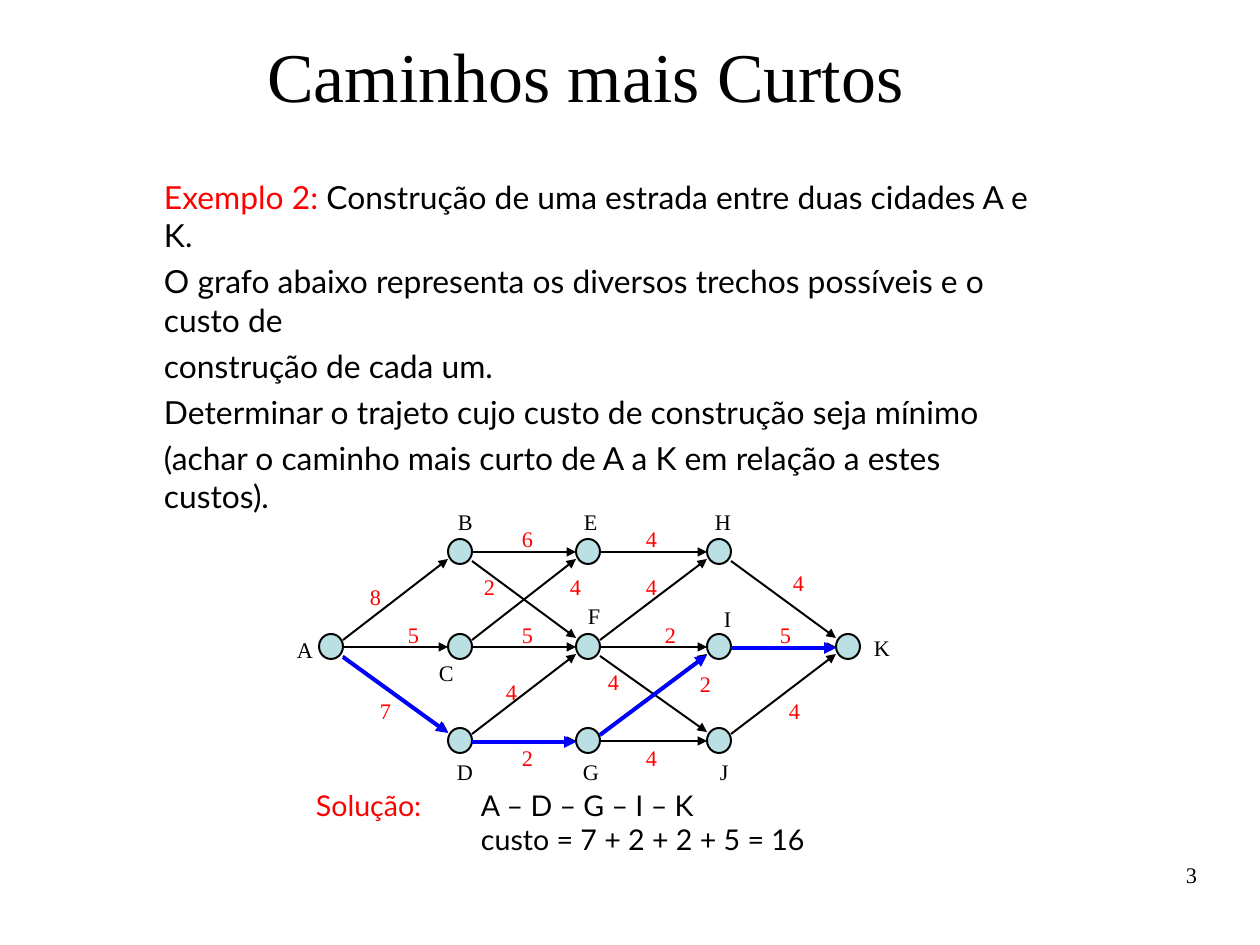
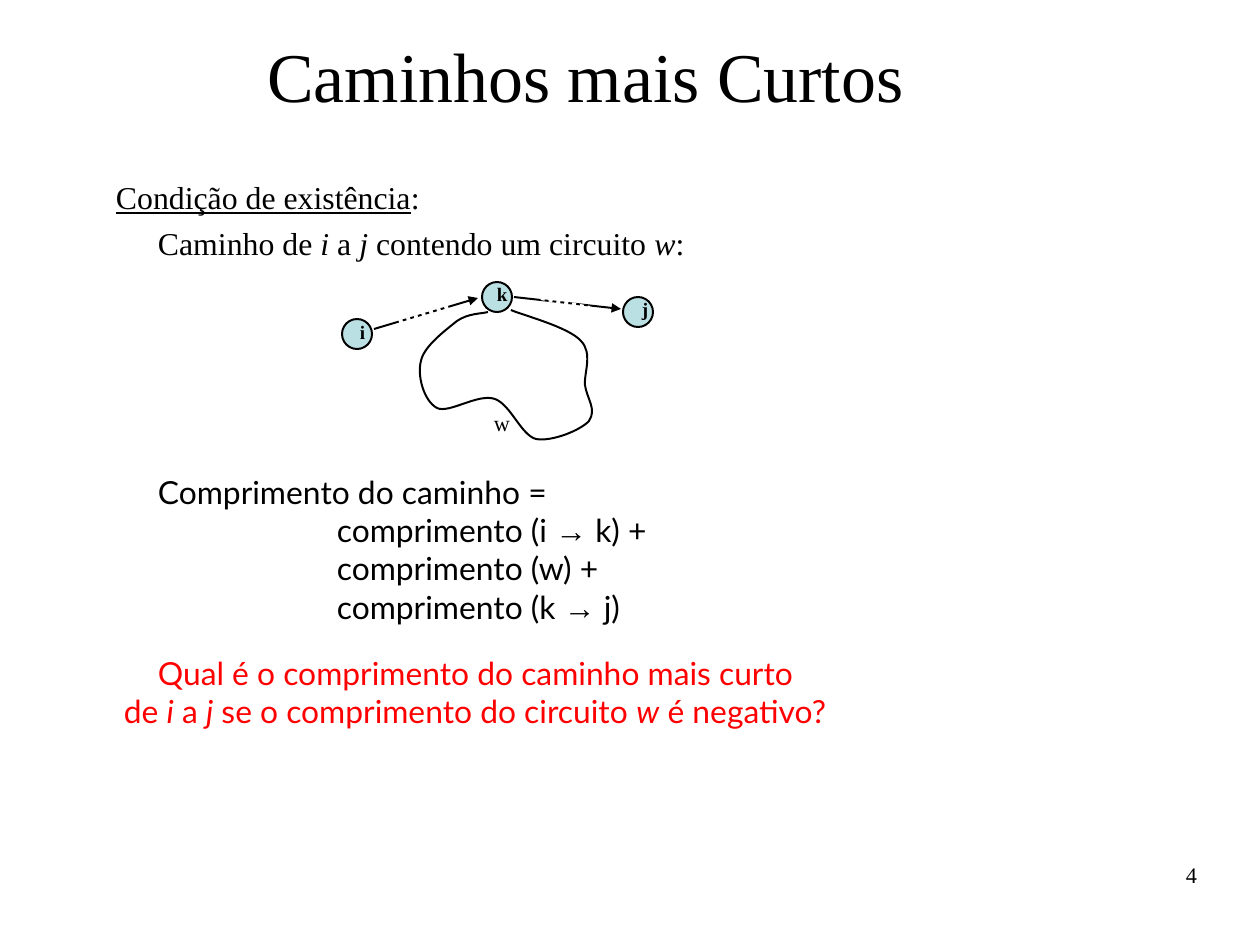
from dataclasses import dataclass

from lxml import etree
from pptx import Presentation
from pptx.dml.color import RGBColor
from pptx.enum.dml import MSO_LINE
from pptx.enum.shapes import MSO_CONNECTOR, MSO_SHAPE
from pptx.enum.text import MSO_ANCHOR, PP_ALIGN
from pptx.oxml.ns import qn
from pptx.util import Pt

# Shared look
SCALE = 8000  # EMU per pixel
WIDTH, HEIGHT = 1260, 945
BLACK, WHITE, RED, BLUE, AQUA = "000000", "FFFFFF", "FF0000", "0000FF", "BBE0E3"
SERIF, SANS, ARROW_FONT = "Times New Roman", "Lato", "Arial"
THIN, THICK = 1.25, 2.49
LEFT, CENTER, RIGHT = PP_ALIGN.LEFT, PP_ALIGN.CENTER, PP_ALIGN.RIGHT
TOP, MIDDLE = MSO_ANCHOR.TOP, MSO_ANCHOR.MIDDLE
OVAL, STRAIGHT, DOTTED = MSO_SHAPE.OVAL, MSO_CONNECTOR.STRAIGHT, MSO_LINE.ROUND_DOT
MARGINS = (11, 6, 11, 6)
TITLE = "Caminhos mais Curtos"

Point = tuple[int, int]


@dataclass
class Span:
    text: str
    color: str = ""
    font: str = ""
    italic: bool = False
    underline: bool = False


@dataclass
class Para:
    spans: list[Span]
    before: float = 0
    indent: int = 0
    hanging: int = 0


@dataclass
class Style:
    size: float
    font: str = SERIF
    color: str = BLACK
    bold: bool = False
    align: PP_ALIGN = LEFT
    anchor: MSO_ANCHOR = TOP
    margins: tuple[int, int, int, int] = MARGINS


@dataclass
class Node:
    center: Point
    label: Point


@dataclass
class Edge:
    ends: str
    weight: str
    label: Point


@dataclass
class Stop:
    name: str
    corner: Point
    label: Point


TITLE_STYLE = Style(44, align=CENTER, anchor=MIDDLE)
NUMBER_STYLE = Style(14, align=RIGHT, margins=(0, 0, 0, 0))
LABEL_STYLE = Style(14)
WEIGHT_STYLE = Style(14, color=RED)
STOP_STYLE = Style(12, bold=True)
BODY_STYLE = Style(20, SANS)
SERIF_BODY_STYLE = Style(20)
SOLUTION_STYLE = Style(18, SANS)
QUESTION_STYLE = Style(20, SANS, RED)


def px(value: float) -> int:
    return round(value * SCALE)


def rgb(value: str) -> RGBColor:
    return RGBColor.from_string(value)


def add_text(page, area: tuple[int, int, int, int], paras: list[Para], style: Style) -> None:
    box = page.shapes.add_textbox(*map(px, area))
    frame = box.text_frame
    frame.word_wrap = True
    frame.vertical_anchor = style.anchor
    for side, margin in zip(("left", "top", "right", "bottom"), style.margins):
        setattr(frame, f"margin_{side}", px(margin))
    for index, content in enumerate(paras):
        para = frame.add_paragraph() if index else frame.paragraphs[0]
        para.alignment = style.align
        para.space_before = Pt(content.before)
        properties = para._p.get_or_add_pPr()
        properties.set("marL", str(px(content.hanging)))
        properties.set("indent", str(px(content.indent - content.hanging)))
        if content.hanging:
            stops = etree.SubElement(properties, qn("a:tabLst"))
            for position in (0, content.hanging):
                etree.SubElement(stops, qn("a:tab"), pos=str(px(position)), algn="l")
        for span in content.spans:
            run = para.add_run()
            run.text = span.text
            formats = {
                "name": span.font or style.font,
                "size": Pt(style.size),
                "bold": style.bold,
                "italic": span.italic,
                "underline": span.underline,
            }
            for key, value in formats.items():
                setattr(run.font, key, value)
            run.font.color.rgb = rgb(span.color or style.color)


def add_label(page, text: str, corner: Point, style: Style) -> None:
    add_text(page, (*corner, 38, 36), [Para([Span(text)], before=style.size * 0.62)], style)


def set_line(line, color: str, width: float) -> None:
    line.color.rgb = rgb(color)
    line.width = Pt(width)


def add_circle(page, corner: Point, size: Point) -> None:
    circle = page.shapes.add_shape(OVAL, *map(px, corner + size))
    circle.shadow.inherit = False
    circle.fill.solid()
    circle.fill.fore_color.rgb = rgb(AQUA)
    set_line(circle.line, BLACK, THIN)


def add_line(page, start: Point, end: Point, color: str = BLACK, width: float = THIN,
             arrow: bool = True) -> None:
    connector = page.shapes.add_connector(STRAIGHT, *map(px, start + end))
    set_line(connector.line, color, width)
    if arrow:
        etree.SubElement(connector.line._get_or_add_ln(), qn("a:tailEnd"), type="triangle")
    else:
        connector.line.dash_style = DOTTED
    etree.SubElement(connector._element.spPr, qn("a:effectLst"))


def add_curve(page, start: Point, pieces: list[tuple[Point, Point, Point]],
              corner: Point, far_corner: Point) -> None:
    # The two corners fix the frame; Bezier pieces then replace the straight segments
    builder = page.shapes.build_freeform(*start, scale=SCALE)
    builder.add_line_segments([corner, far_corner], close=False)
    loop = builder.convert_to_shape()
    loop.shadow.inherit = False
    loop.fill.background()
    set_line(loop.line, BLACK, THIN)
    outline = next(loop._element.iter(qn("a:path")))
    for segment in outline.findall(qn("a:lnTo")):
        outline.remove(segment)
    for piece in pieces:
        bezier = etree.SubElement(outline, qn("a:cubicBezTo"))
        for x, y in piece:
            etree.SubElement(bezier, qn("a:pt"), x=str(x - corner[0]), y=str(y - corner[1]))


def add_page(deck, number: int):
    page = deck.slides.add_slide(deck.slide_layouts[6])
    add_text(page, (181, 30, 810, 89), [Para([Span(TITLE)])], TITLE_STYLE)
    add_text(page, (903, 861, 294, 65), [Para([Span(str(number))])], NUMBER_STYLE)
    return page


# Road graph
COLUMNS = (331, 460, 588, 719, 848)
ROWS = (552, 647, 741)
NODE_SIZE = (24, 25)
NODES = {
    "A": Node((COLUMNS[0], ROWS[1]), (286, 630)),
    "B": Node((COLUMNS[1], ROWS[0]), (447, 502)),
    "C": Node((COLUMNS[1], ROWS[1]), (428, 653)),
    "D": Node((COLUMNS[1], ROWS[2]), (446, 752)),
    "E": Node((COLUMNS[2], ROWS[0]), (573, 502)),
    "F": Node((COLUMNS[2], ROWS[1]), (577, 596)),
    "G": Node((COLUMNS[2], ROWS[2]), (572, 752)),
    "H": Node((COLUMNS[3], ROWS[0]), (704, 502)),
    "I": Node((COLUMNS[3], ROWS[1]), (713, 599)),
    "J": Node((COLUMNS[3], ROWS[2]), (709, 752)),
    "K": Node((COLUMNS[4], ROWS[1]), (863, 628)),
}
EDGES = [
    Edge("AB", "8", (359, 577)), Edge("AC", "5", (397, 615)), Edge("AD", "7", (369, 691)),
    Edge("BE", "6", (511, 519)), Edge("BF", "2", (473, 567)), Edge("CE", "4", (559, 567)),
    Edge("CF", "5", (511, 615)), Edge("DF", "4", (495, 672)), Edge("DG", "2", (511, 738)),
    Edge("EH", "4", (635, 519)), Edge("FH", "4", (635, 567)), Edge("FI", "2", (654, 615)),
    Edge("FJ", "4", (597, 662)), Edge("GI", "2", (689, 664)), Edge("GJ", "4", (635, 738)),
    Edge("HK", "4", (782, 563)), Edge("IK", "5", (769, 615)), Edge("JK", "4", (778, 691)),
]
SHORTEST = ("AD", "DG", "GI", "IK")


def add_edge(page, ends: str, color: str = BLACK, width: float = THIN, drop: int = 0) -> None:
    (x1, y1), (x2, y2) = (NODES[name].center for name in ends)
    rise = 9 if y2 > y1 else -7 if y2 < y1 else 0
    add_line(page, (x1 + 12, y1 + rise + drop), (x2 - 12, y2 - rise + drop), color, width)


def build_example(deck) -> None:
    page = add_page(deck, 3)
    lines = [
        [Span("Exemplo 2:", RED),
         Span(" Construção de uma estrada entre duas cidades A e K.")],
        [Span("O grafo abaixo representa os diversos trechos possíveis e o custo de ")],
        [Span("construção de cada um.")],
        [Span("Determinar o trajeto cujo custo de construção seja mínimo")],
        [Span("(achar o caminho mais curto de A a K em relação a estes custos).")],
    ]
    add_text(page, (153, 172, 905, 229), [Para(spans, before=5) for spans in lines], BODY_STYLE)
    for node in NODES.values():
        add_circle(page, (node.center[0] - 12, node.center[1] - 13), NODE_SIZE)
    for edge in EDGES:
        add_edge(page, edge.ends)
    for name, node in NODES.items():
        add_label(page, name, node.label, LABEL_STYLE)
    for edge in EDGES:
        add_label(page, edge.weight, edge.label, WEIGHT_STYLE)
    add_text(page, (305, 782, 629, 86), [
        Para([Span("Solução:\t", RED), Span("A – D – G – I – K")], hanging=165),
        Para([Span("custo = 7 + 2 + 2 + 5 = 16")], indent=165),
    ], SOLUTION_STYLE)
    for ends in SHORTEST:
        add_edge(page, ends, BLUE, THICK, drop=1)


# Path with a circuit
STOPS = [
    Stop("k", (482, 282), (486, 277)),
    Stop("j", (623, 297), (631, 292)),
    Stop("i", (342, 319), (349, 315)),
]
CIRCUIT = [
    ((522, 315), (569, 327), (581, 341)), ((593, 353), (584, 373), (585, 385)),
    ((587, 399), (597, 409), (589, 421)), ((581, 430), (552, 442), (536, 439)),
    ((521, 435), (511, 405), (495, 399)), ((478, 393), (449, 414), (437, 408)),
    ((424, 401), (417, 376), (421, 361)), ((424, 346), (446, 330), (457, 321)),
    ((469, 313), (481, 314), (488, 312)),
]


def build_condition(deck) -> None:
    page = add_page(deck, 4)
    i, j, w = (Span(name, italic=True) for name in "ijw")
    arrow = Span("→", font=ARROW_FONT)
    add_text(page, (105, 172, 972, 162), [
        Para([Span("Condição de existência", underline=True), Span(": ")], before=5),
        Para([Span("Caminho de "), i, Span(" a "), j, Span(" contendo um circuito "), w,
              Span(":")], before=5, indent=42),
    ], SERIF_BODY_STYLE)
    for stop in STOPS:
        add_circle(page, stop.corner, (30, 30))
        add_label(page, stop.name, stop.label, STOP_STYLE)
    add_line(page, (374, 329), (478, 298))
    add_line(page, (399, 322), (449, 307), WHITE, THICK, arrow=False)
    add_line(page, (514, 297), (621, 309))
    add_line(page, (541, 298), (590, 308), WHITE, THICK, arrow=False)
    add_curve(page, (511, 310), CIRCUIT, (417, 310), (597, 442))
    add_label(page, "w", (483, 403), LABEL_STYLE)
    terms = [
        [Span("comprimento (i "), arrow, Span(" k) +")],
        [Span("comprimento (w) +")],
        [Span("comprimento (k "), arrow, Span(" j)")],
    ]
    add_text(page, (105, 467, 972, 162),
             [Para([Span("Comprimento do caminho =")], indent=42)]
             + [Para(spans, indent=221) for spans in terms], BODY_STYLE)
    add_text(page, (105, 648, 972, 105), [
        Para([Span("Qual é o comprimento do caminho mais curto")], indent=42),
        Para([Span("de "), i, Span(" a "), j, Span(" se o comprimento do circuito "), w,
              Span(" é negativo?")], indent=8),
    ], QUESTION_STYLE)


deck = Presentation()
deck.slide_width, deck.slide_height = px(WIDTH), px(HEIGHT)
build_example(deck)
build_condition(deck)
deck.save("out.pptx")
